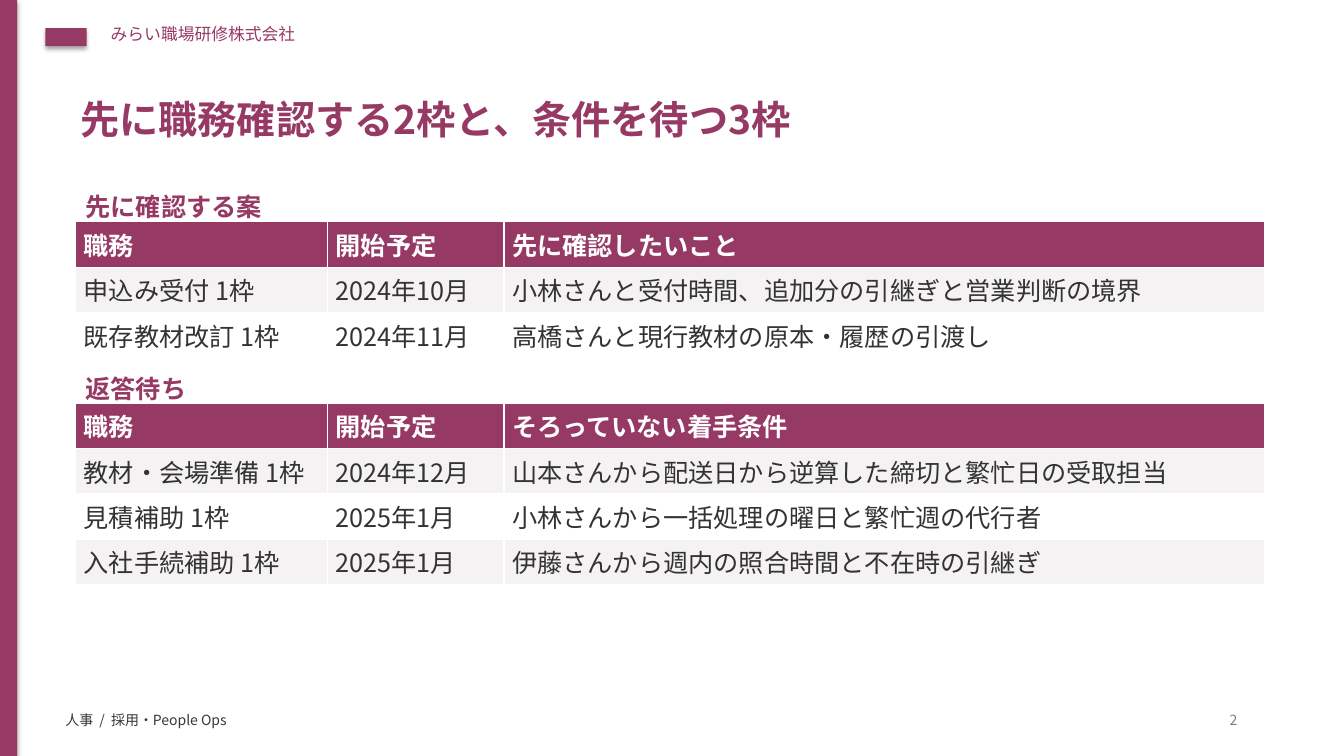
from lxml import etree
from pptx import Presentation
from pptx.dml.color import RGBColor
from pptx.enum.shapes import MSO_SHAPE
from pptx.enum.text import MSO_ANCHOR, MSO_AUTO_SIZE
from pptx.oxml import parse_xml
from pptx.oxml.ns import qn
from pptx.util import Pt

RECTANGLE = MSO_SHAPE.RECTANGLE
MIDDLE = MSO_ANCHOR.MIDDLE
FIT_SHAPE = MSO_AUTO_SIZE.SHAPE_TO_FIT_TEXT
NO_FIT = MSO_AUTO_SIZE.NONE

PLUM = RGBColor(0x96, 0x3A, 0x65)
SAGE = RGBColor(0x7B, 0x82, 0x70)
SLATE = RGBColor(0x34, 0x38, 0x3C)
INK = RGBColor(0x33, 0x33, 0x33)
BAND = RGBColor(0xF5, 0xF2, 0xF3)
WHITE = RGBColor(0xFF, 0xFF, 0xFF)

FONT = "Noto Sans CJK JP"
ROW_HEIGHT = 32.4
COLUMN_WIDTHS = (180, 126, 543.6)
SHADOW = (
    '<a:effectLst xmlns:a="http://schemas.openxmlformats.org/drawingml/2006/main">'
    '<a:outerShdw blurRad="39370" dist="22860" dir="5400000" rotWithShape="0">'
    '<a:srgbClr val="000000"><a:alpha val="35000"/></a:srgbClr>'
    "</a:outerShdw></a:effectLst>"
)


class SlideBuilder:
    """Draws styled elements on the current slide, with lengths in points."""

    def __init__(self, slide):
        self.slide = slide

    def style(self, text_frame, size, color, bold):
        for paragraph in text_frame.paragraphs:
            for run in paragraph.runs:
                run.font.name = FONT
                run.font.size = Pt(size)
                run.font.bold = bold
                run.font.color.rgb = color
                properties = run._r.get_or_add_rPr()
                etree.SubElement(properties, qn("a:ea"), typeface=FONT)

    def block(self, left, top, width, height, color):
        shape = self.slide.shapes.add_shape(
            RECTANGLE, Pt(left), Pt(top), Pt(width), Pt(height))
        shape.fill.solid()
        shape.fill.fore_color.rgb = color
        shape.line.fill.background()
        shape._element.spPr.append(parse_xml(SHADOW))

    def text(self, text, left, top, width, height, size, color,
             bold=False, wrap=True, fit=FIT_SHAPE):
        shape = self.slide.shapes.add_textbox(
            Pt(left), Pt(top), Pt(width), Pt(height))
        text_frame = shape.text_frame
        text_frame.word_wrap = wrap
        text_frame.auto_size = fit
        text_frame.text = text
        self.style(text_frame, size, color, bold)

    def table(self, rows, left, top):
        frame = self.slide.shapes.add_table(
            len(rows), len(COLUMN_WIDTHS), Pt(left), Pt(top),
            Pt(sum(COLUMN_WIDTHS)), Pt(ROW_HEIGHT * len(rows)))
        table = frame.table
        for column, width in zip(table.columns, COLUMN_WIDTHS):
            column.width = Pt(width)
        for index, values in enumerate(rows):
            header = index == 0
            fill = PLUM if header else BAND if index % 2 else WHITE
            table.rows[index].height = Pt(ROW_HEIGHT)
            for cell, value in zip(table.rows[index].cells, values):
                cell.fill.solid()
                cell.fill.fore_color.rgb = fill
                cell.vertical_anchor = MIDDLE
                cell.margin_left, cell.margin_right = Pt(5.76), Pt(4.32)
                cell.margin_top = cell.margin_bottom = Pt(2.16)
                cell.text_frame.text = value
                self.style(cell.text_frame, 18, WHITE if header else INK, header)

    def section(self, heading, rows, top):
        self.text(heading, 54, top, 849.6, 23, 18, PLUM, bold=True)
        self.table(rows, 54, top + 25.2)


def main():
    presentation = Presentation()
    presentation.slide_width = Pt(960)
    presentation.slide_height = Pt(540)
    builder = SlideBuilder(
        presentation.slides.add_slide(presentation.slide_layouts[6]))

    builder.block(0, 0, 12.24, 540, PLUM)
    builder.block(32.4, 20, 29.5, 13, PLUM)
    builder.text("みらい職場研修株式会社", 72, 13.7, 576, 28.8, 12, PLUM, wrap=False)
    builder.text("人事  /  採用・People Ops", 39.6, 504.7, 720, 21.6, 10, SLATE, wrap=False)
    builder.text("先に職務確認する2枠と、条件を待つ3枠", 50.4, 64.8, 849.6, 61.2,
                 28, PLUM, bold=True, fit=NO_FIT)
    builder.text("2", 871.2, 504.7, 28.8, 18, 10, SAGE)

    builder.section("先に確認する案", [
        ("職務", "開始予定", "先に確認したいこと"),
        ("申込み受付 1枠", "2024年10月", "小林さんと受付時間、追加分の引継ぎと営業判断の境界"),
        ("既存教材改訂 1枠", "2024年11月", "高橋さんと現行教材の原本・履歴の引渡し"),
    ], 133.2)
    builder.section("返答待ち", [
        ("職務", "開始予定", "そろっていない着手条件"),
        ("教材・会場準備 1枠", "2024年12月", "山本さんから配送日から逆算した締切と繁忙日の受取担当"),
        ("見積補助 1枠", "2025年1月", "小林さんから一括処理の曜日と繁忙週の代行者"),
        ("入社手続補助 1枠", "2025年1月", "伊藤さんから週内の照合時間と不在時の引継ぎ"),
    ], 262.8)

    presentation.save("out.pptx")


if __name__ == "__main__":
    main()
